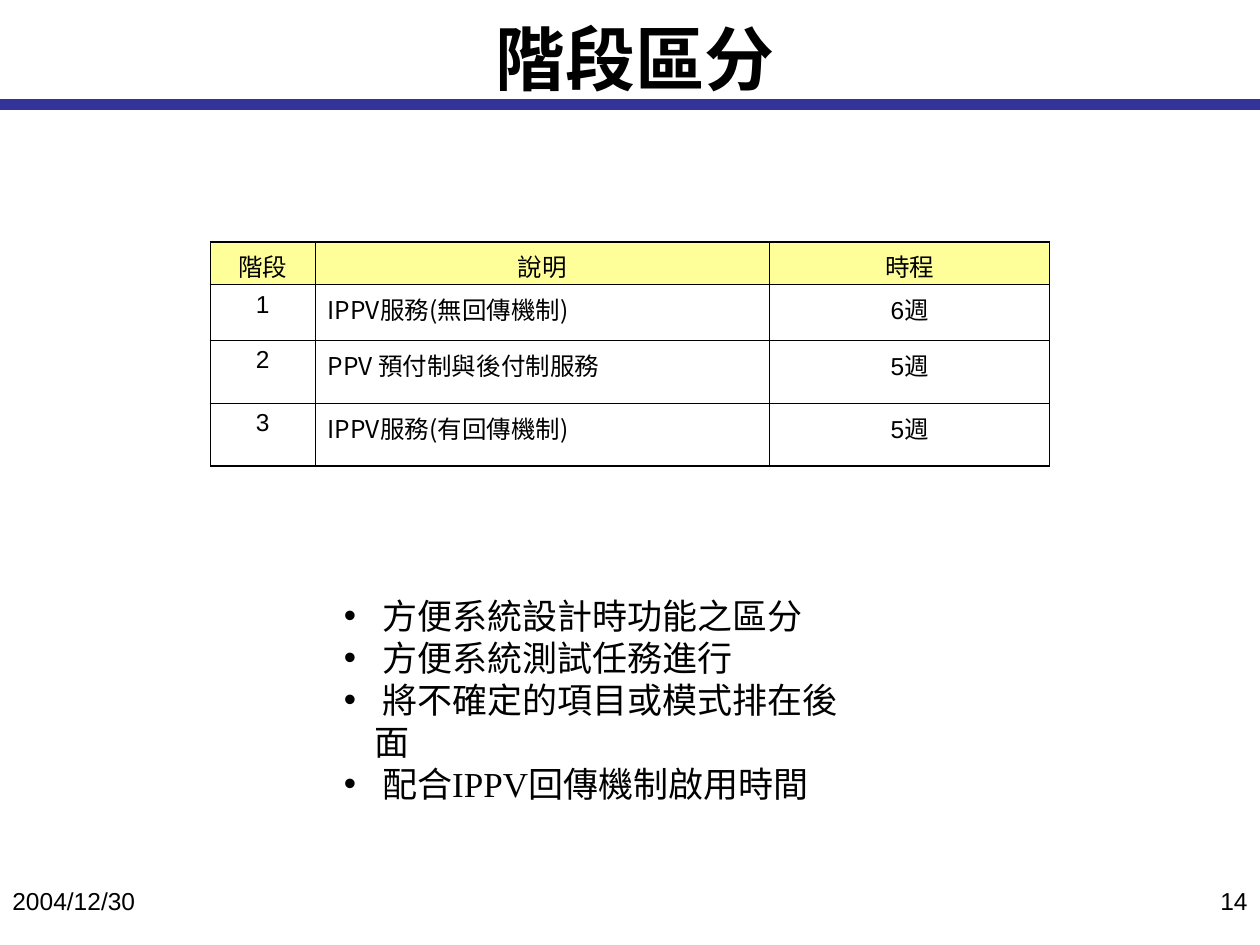
from pptx import Presentation
from pptx.dml.color import RGBColor
from pptx.enum.shapes import MSO_CONNECTOR as Connector
from pptx.enum.text import MSO_ANCHOR as Anchor, MSO_AUTO_SIZE as AutoSize, PP_ALIGN as Align
from pptx.oxml.ns import qn
from pptx.util import Inches, Pt
from lxml.etree import SubElement

COLORS = {"text": "000000", "rule": "333399", "header": "FFFF99"}
SANS, SERIF = "Arial", "Times New Roman"
CJK_TC, CJK_SC = "Noto Sans CJK TC", "Noto Sans CJK SC"
OUTER, INNER = 1.08, 0.45

STAGES = [
    ("階段", "說明", "時程"),
    ("1", "IPPV服務(無回傳機制)", "6週"),
    ("2", "PPV 預付制與後付制服務", "5週"),
    ("3", "IPPV服務(有回傳機制)", "5週"),
]
COLUMN_WIDTHS = [0.83, 3.61, 2.22]
ROW_HEIGHTS = [0.34, 0.44, 0.5, 0.5]
REASONS = [
    (" 方便系統設計時功能之區分", CJK_TC),
    (" 方便系統測試任務進行", CJK_TC),
    (" 將不確定的項目或模式排在後面", SERIF),
    (" 配合IPPV回傳機制啟用時間", SERIF),
]


def color(name):
    return RGBColor.from_string(COLORS[name])


def place(shape, left, top, width, height):
    shape.left, shape.top = Inches(left), Inches(top)
    shape.width, shape.height = Inches(width), Inches(height)


def add_run(paragraph, text, size, font, east_asian=CJK_TC, bold=False):
    run = paragraph.add_run()
    run.text = text
    run.font.size, run.font.name, run.font.bold = Pt(size), font, bold
    run.font.color.rgb = color("text")
    SubElement(run.font._element, qn("a:ea"), typeface=east_asian)


def add_bullet(paragraph, indent):
    properties = paragraph._p.get_or_add_pPr()
    properties.set("marL", str(Inches(indent)))
    properties.set("indent", str(-Inches(indent)))
    bullet_color = SubElement(properties, qn("a:buClr"))
    SubElement(bullet_color, qn("a:srgbClr"), val=COLORS["text"])
    SubElement(properties, qn("a:buFont"), typeface=SANS)
    SubElement(properties, qn("a:buChar"), char="•")


def add_border(cell, side, width):
    line = SubElement(cell._tc.get_or_add_tcPr(), qn(f"a:ln{side}"), w=str(Pt(width)))
    fill = SubElement(line, qn("a:solidFill"))
    SubElement(fill, qn("a:srgbClr"), val=COLORS["text"])


def add_rule(slide):
    rule = slide.shapes.add_connector(
        Connector.STRAIGHT, Inches(0), Inches(0.83), Inches(10), Inches(0.83))
    rule.line.color.rgb = color("rule")
    rule.line.width = Pt(6)
    SubElement(rule._element.spPr, qn("a:effectLst"))


def fill_title(title):
    place(title, 0.25, 0, 9.58, 0.92)
    frame = title.text_frame
    frame.vertical_anchor = Anchor.MIDDLE
    frame.auto_size = AutoSize.NONE
    frame.paragraphs[0].alignment = Align.CENTER
    add_run(frame.paragraphs[0], "階段區分", 40, SERIF, bold=True)


def add_stage_table(slide):
    last_row, last_column = len(ROW_HEIGHTS) - 1, len(COLUMN_WIDTHS) - 1
    table = slide.shapes.add_table(
        len(ROW_HEIGHTS), len(COLUMN_WIDTHS), Inches(1.67), Inches(1.92),
        Inches(sum(COLUMN_WIDTHS)), Inches(sum(ROW_HEIGHTS))).table
    table.first_row = table.horz_banding = False
    for column, width in zip(table.columns, COLUMN_WIDTHS):
        column.width = Inches(width)
    for row, height in zip(table.rows, ROW_HEIGHTS):
        row.height = Inches(height)

    for r, stage in enumerate(STAGES):
        for c, text in enumerate(stage):
            cell = table.cell(r, c)
            # Heavier frame around lighter inner lines
            on_edge = {"L": c == 0, "R": c == last_column, "T": r == 0, "B": r == last_row}
            for side, is_outer in on_edge.items():
                add_border(cell, side, OUTER if is_outer else INNER)
            if r == 0:
                cell.fill.solid()
                cell.fill.fore_color.rgb = color("header")
            else:
                cell.fill.background()
            is_description = r > 0 and c == 1
            paragraph = cell.text_frame.paragraphs[0]
            paragraph.alignment = Align.LEFT if is_description else Align.CENTER
            paragraph.space_before = Pt(3.5)
            add_run(paragraph, text, 14, CJK_SC if is_description else SANS, CJK_SC)


def fill_reasons(body):
    place(body, 2.63, 4.67, 4.33, 1.44)
    frame = body.text_frame
    frame.word_wrap = True
    frame.auto_size = AutoSize.SHAPE_TO_FIT_TEXT
    frame.vertical_anchor = Anchor.TOP
    for i, (reason, font) in enumerate(REASONS):
        paragraph = frame.add_paragraph() if i else frame.paragraphs[0]
        paragraph.space_before = Pt(0)
        add_bullet(paragraph, 0.24)
        add_run(paragraph, reason, 20, font)


def add_footer(slide, text, left, alignment):
    box = slide.shapes.add_textbox(Inches(left), Inches(6.98), Inches(2.33), Inches(0.52))
    box.text_frame.word_wrap = True
    paragraph = box.text_frame.paragraphs[0]
    paragraph.alignment = alignment
    add_run(paragraph, text, 14, SANS)


def main():
    deck = Presentation()
    deck.slide_width, deck.slide_height = Inches(10), Inches(7.5)
    slide = deck.slides.add_slide(deck.slide_layouts[1])

    # Heading
    add_rule(slide)
    fill_title(slide.shapes.title)

    # Stages and the reasons for them
    add_stage_table(slide)
    fill_reasons(slide.placeholders[1])

    # Footer
    add_footer(slide, "14", 7.67, Align.RIGHT)
    add_footer(slide, "2004/12/30", 0, Align.LEFT)

    deck.save("out.pptx")


if __name__ == "__main__":
    main()
